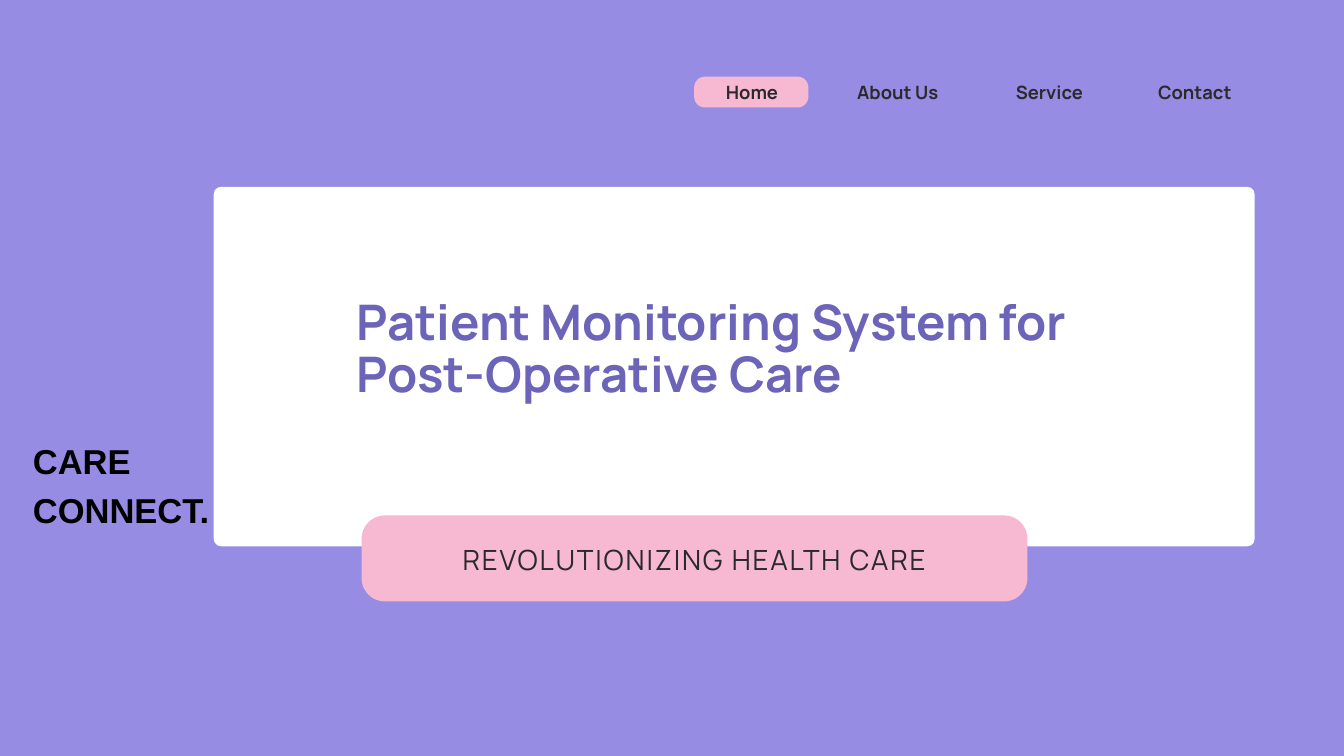
from dataclasses import dataclass

import pptx
import pptx.dml.color
import pptx.enum.shapes
import pptx.enum.text
import pptx.util
from pptx.util import Inches

COLORS = {
    "background": "968CE4",
    "white": "FFFFFF",
    "pink": "F7B8D2",
    "ink": "2B2A2A",
    "title": "6B64B8",
    "black": "000000",
}


@dataclass
class Panel:
    left: float
    top: float
    width: float
    height: float
    radius: float
    color: str


@dataclass
class Label:
    text: str
    left: float
    top: float
    width: float
    height: float
    size: float
    line_height: float
    color: str = "ink"
    font: str = "Manrope"
    bold: bool = True
    centered: bool = False
    letter_spacing: float = 0


def rgb(name: str) -> pptx.dml.color.RGBColor:
    return pptx.dml.color.RGBColor.from_string(COLORS[name])


def draw_panel(page, panel: Panel) -> None:
    shape = page.shapes.add_shape(
        pptx.enum.shapes.MSO_SHAPE.ROUNDED_RECTANGLE,
        Inches(panel.left), Inches(panel.top),
        Inches(panel.width), Inches(panel.height))
    shape.adjustments[0] = panel.radius / min(panel.width, panel.height)
    shape.shadow.inherit = False
    shape.fill.solid()
    shape.fill.fore_color.rgb = rgb(panel.color)
    shape.line.fill.background()


def draw_label(page, label: Label) -> None:
    box = page.shapes.add_textbox(
        Inches(label.left), Inches(label.top),
        Inches(label.width), Inches(label.height))
    frame = box.text_frame
    frame.margin_left = frame.margin_right = 0
    frame.margin_top = frame.margin_bottom = 0
    frame.word_wrap = True
    frame.auto_size = pptx.enum.text.MSO_AUTO_SIZE.SHAPE_TO_FIT_TEXT
    frame.text = label.text

    para = frame.paragraphs[0]
    para.line_spacing = pptx.util.Pt(label.line_height)
    align = pptx.enum.text.PP_ALIGN
    para.alignment = align.CENTER if label.centered else align.LEFT

    span = para.runs[0]
    span.font.name = label.font
    span.font.size = pptx.util.Pt(label.size)
    span.font.bold = label.bold
    span.font.color.rgb = rgb(label.color)
    if label.letter_spacing:
        span.font._element.set("spc", str(round(label.letter_spacing * 100)))


PANELS = [
    Panel(3.18, 2.78, 15.49, 5.35, 0.11, "white"),  # title card
    Panel(5.38, 7.67, 9.91, 1.28, 0.35, "pink"),  # tagline
    Panel(10.33, 1.14, 1.7, 0.46, 0.16, "pink"),  # active menu item
]

# Menu entries: text, left, width
MENU = [
    ("Home", 10.6, 1.18),
    ("About Us", 12.57, 1.58),
    ("Service", 14.95, 1.33),
    ("Contact", 17.08, 1.4),
]

LABELS = [
    Label("REVOLUTIONIZING HEALTH CARE", 5.92, 7.99, 8.83, 0.57, 29.8, 41.6,
          bold=False, centered=True, letter_spacing=2),
    Label("Patient Monitoring System for Post-Operative Care",
          5.31, 4.43, 12.47, 1.62, 52.5, 56.2, color="title"),
    *(Label(text, left, 1.15, width, 0.38, 19.7, 27.5, centered=True)
      for text, left, width in MENU),
    Label("CARE CONNECT.", 0.49, 6.45, 2.96, 1.43, 37, 51.9,
          color="black", font="Arial"),
]


def main() -> None:
    deck = pptx.Presentation()
    deck.slide_width = Inches(20)
    deck.slide_height = Inches(11.25)
    page = deck.slides.add_slide(deck.slide_layouts[6])

    # Background
    page.background.fill.solid()
    page.background.fill.fore_color.rgb = rgb("background")

    # Panels, then the text over them
    for panel in PANELS:
        draw_panel(page, panel)
    for label in LABELS:
        draw_label(page, label)

    deck.save("out.pptx")


if __name__ == "__main__":
    main()
